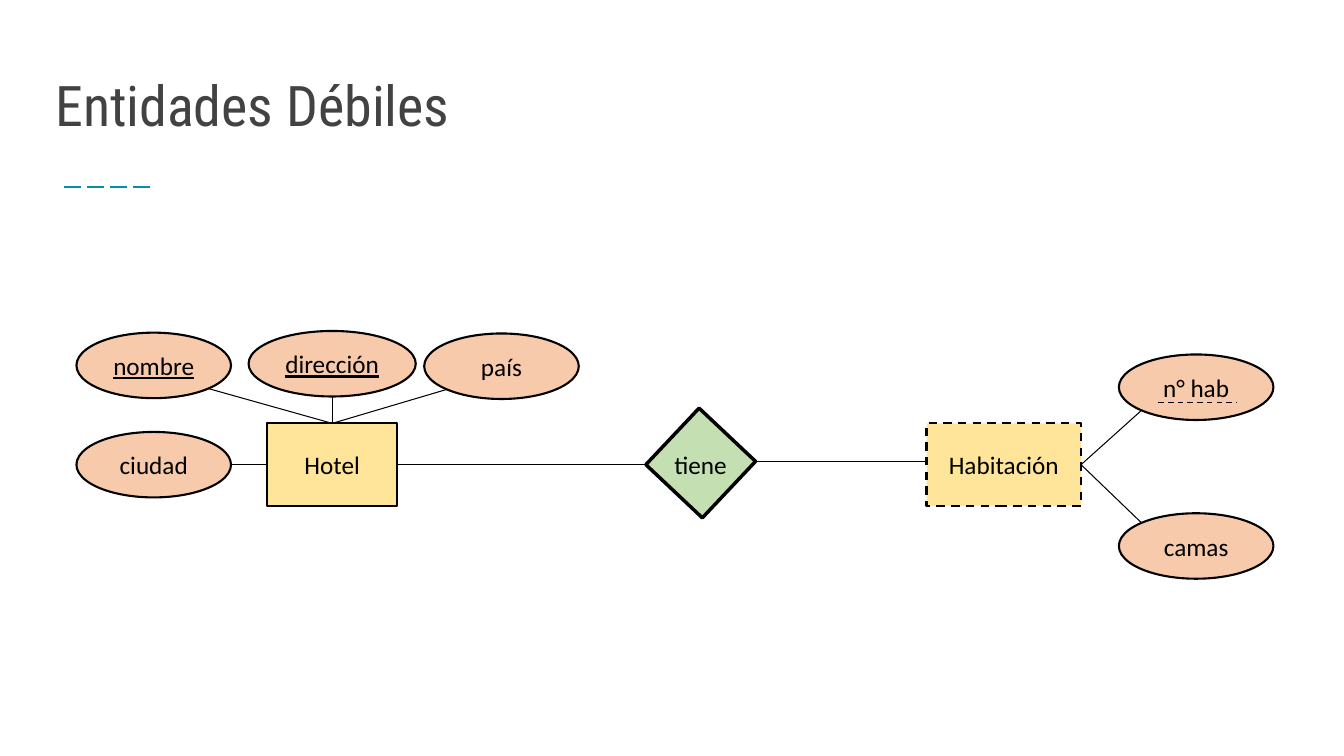
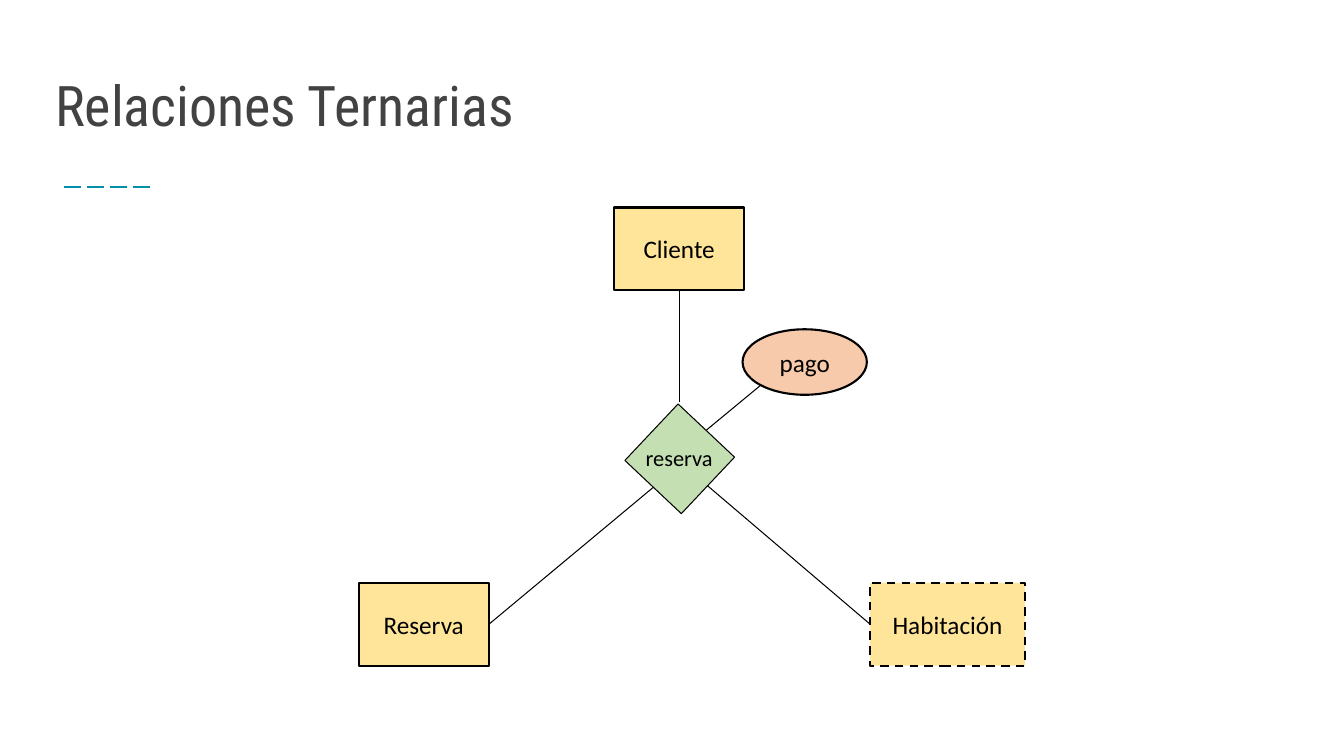
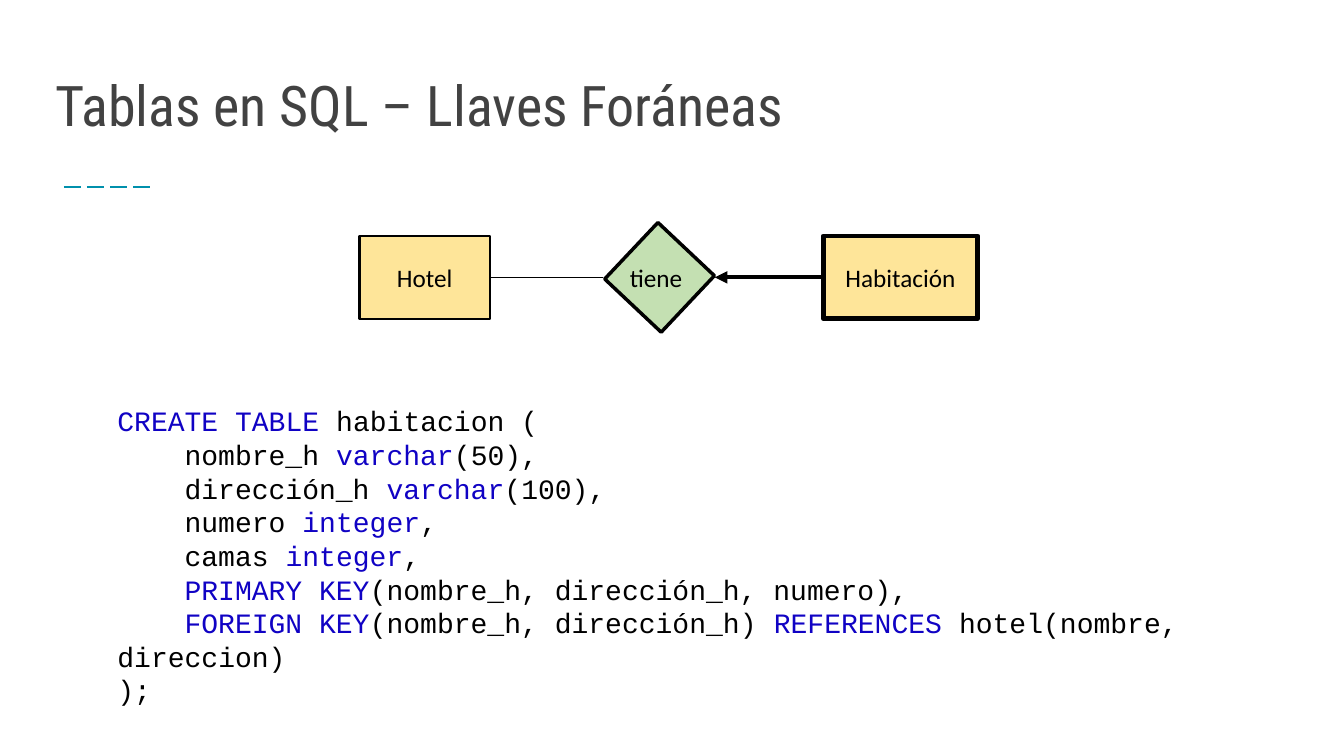
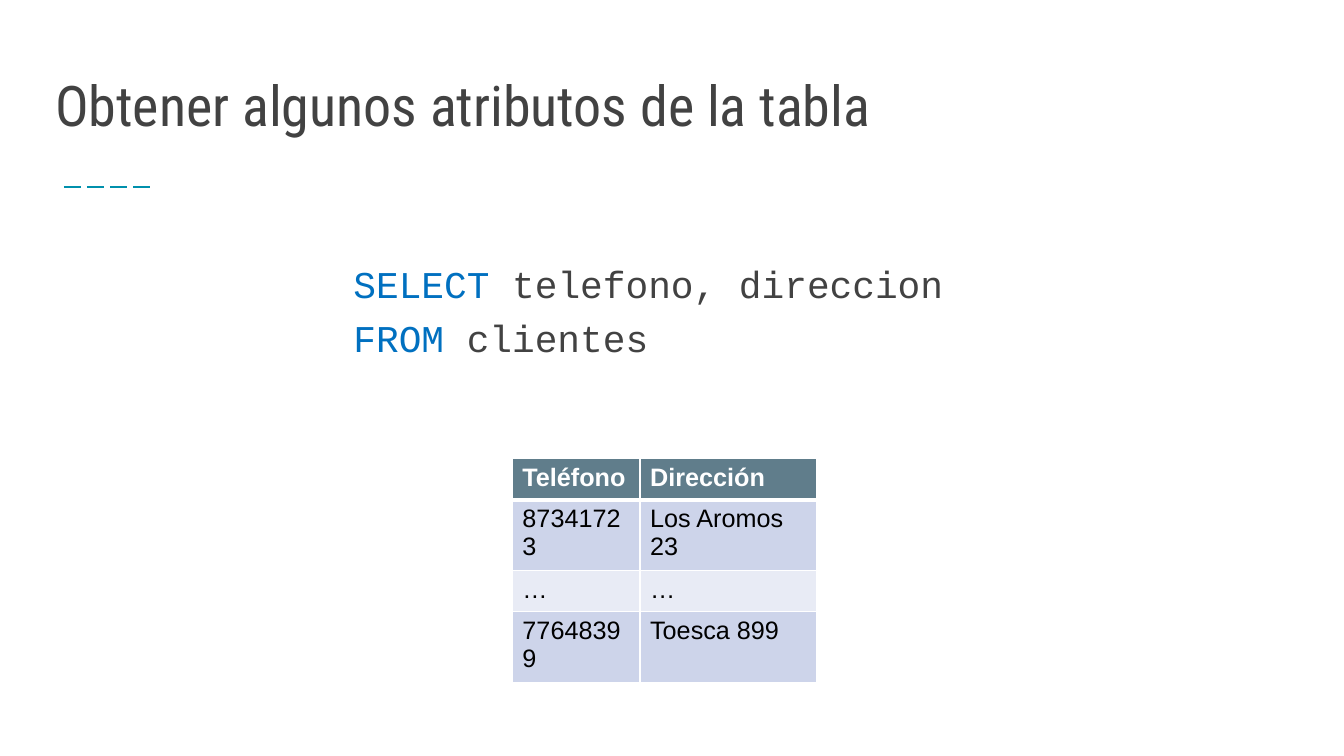
from math import cos, radians, sin
from lxml.etree import SubElement
from pptx import Presentation
from pptx.dml.color import RGBColor
from pptx.enum.dml import MSO_LINE
from pptx.enum.shapes import MSO_CONNECTOR, MSO_SHAPE
from pptx.enum.text import MSO_ANCHOR, PP_ALIGN
from pptx.oxml import parse_xml
from pptx.oxml.ns import nsdecls, qn
from pptx.util import Inches, Pt

BLACK = RGBColor(0x00, 0x00, 0x00)
WHITE = RGBColor(0xFF, 0xFF, 0xFF)
GREY = RGBColor(0x42, 0x42, 0x42)
TEAL = RGBColor(0x00, 0x90, 0xAC)
SAND = RGBColor(0xFE, 0xE5, 0x99)
PEACH = RGBColor(0xF7, 0xCA, 0xAC)
GREEN = RGBColor(0xC4, 0xE0, 0xB2)
NAVY = RGBColor(0x10, 0x02, 0xC4)
BLUE = RGBColor(0x00, 0x70, 0xC0)
SLATE = RGBColor(0x60, 0x7D, 0x8B)
BANDS = (RGBColor(0xCD, 0xD4, 0xEA), RGBColor(0xE8, 0xEB, 0xF5))

COLS, ROWS = 160, 90
UNIT = Inches(7.5) / ROWS
TOP, LEFT, BELOW, RIGHT = range(4)
SLIM, WIDE = 15.5, 18.4
HIGH, OVAL, SIDE = 9.84, 7.8, 9.24

SLIDES = [
    {
        "title": "Entidades Débiles",
        "rects": [("Hotel", 31.8, 50.4, SLIM, {}),
                  ("Habitación", 110.3, 50.4, WIDE, {"dash": MSO_LINE.DASH})],
        "ovals": [("nombre", 9.1, 39.6, WIDE, True),
                  ("dirección", 29.6, 39.4, 19.9, True),
                  ("país", 50.5, 39.7, WIDE, False),
                  ("ciudad", 9.1, 51.42, WIDE, False),
                  ("n° hab", 133.2, 42.2, WIDE, False),
                  ("camas", 133.2, 61.1, WIDE, False)],
        "rel": (78.8, 50.5, 2.5),
        "label": ("tiene", 79.1, 52.9, 8.8, 18),
        "links": [(("nombre", 45), ("Hotel", TOP), {}),
                  (("dirección", 90), ("Hotel", TOP), {}),
                  (("país", 135), ("Hotel", TOP), {}),
                  (("ciudad", 0), ("Hotel", LEFT), {}),
                  (("n° hab", 135), ("Habitación", RIGHT), {}),
                  (("camas", 225), ("Habitación", RIGHT), {}),
                  ((77, 55.32), ("Hotel", RIGHT), {}),
                  ((110.4, 55), (89.9, 55), {}),
                  ((137.9, 47.9), (147.2, 47.9),
                   {"width": 1, "dash": MSO_LINE.DASH})],
    },
    {
        "title": "Relaciones Ternarias",
        "rects": [("Cliente", 73.1, 24.7, SLIM, {}),
                  ("Habitación", 103.6, 69.4, WIDE, {"dash": MSO_LINE.DASH}),
                  ("Reserva", 42.7, 69.4, SLIM, {})],
        "ovals": [("pago", 88.4, 39.2, 14.8, False)],
        "rel": (76.3, 50, 0.75),
        "label": ("reserva", 75.7, 52.3, 10.6, 16),
        "links": [(("pago", 135), (84.1, 51.2), {}),
                  ((80.85, 47.9), ("Cliente", BELOW), {}),
                  (("Habitación", LEFT), (84.2, 57.8), {}),
                  ((77.8, 58), ("Reserva", RIGHT), {})],
    },
    {
        "title": "Tablas en SQL – Llaves Foráneas",
        "rects": [("Hotel", 42.8, 28.1, SLIM, {}),
                  ("Habitación", 98, 28.1, WIDE, {"width": 3.5})],
        "rel": (73.9, 28.4, 2.5),
        "label": ("tiene", 73.8, 30.6, 8.8, 18),
        "links": [((71.8, 33.02), ("Hotel", RIGHT), {"width": 1}),
                  (("Habitación", LEFT), (85.1, 33.02),
                   {"width": 3, "arrow": True})],
        "code": ((12.8, 47.5, 139.4, 33.5),
                 [(0, "*CREATE TABLE* habitacion ("),
                  (8, "nombre_h *varchar*(50),"),
                  (8, "dirección_h *varchar*(100),"),
                  (8, "numero *integer*,"),
                  (8, "camas *integer*,"),
                  (8, "*PRIMARY KEY*(nombre_h, dirección_h, numero),"),
                  (8, "*FOREIGN KEY*(nombre_h, dirección_h) "
                      "*REFERENCES *hotel(nombre, direccion)"),
                  (0, ");")],
                 {"size": 20, "key": NAVY}),
    },
    {
        "title": "Obtener algunos atributos de la tabla",
        "code": ((40.9, 31, 113.5, 49),
                 [(0, "*SELECT* telefono, direccion"),
                  (0, "*FROM* clientes")],
                 {"size": 27, "key": BLUE, "color": GREY,
                  "lead": 0.9, "gap": 10}),
        "table": [("Teléfono", "Dirección"),
                  ("87341723", "Los Aromos 23"),
                  ("…", "…"),
                  ("77648399", "Toesca 899")],
    },
]


def grid(*nums):
    return [round(num * UNIT) for num in nums]


def write(frame, text, size=18, font="Calibri", color=BLACK, key=None,
          bold=False, under=False, align=None, anchor=None, wrap=True,
          lead=None, gap=0):
    frame.word_wrap = wrap
    if anchor is not None:
        frame.vertical_anchor = anchor
    lines = [(0, text)] if isinstance(text, str) else text
    for row, (inset, line) in enumerate(lines):
        para = frame.add_paragraph() if row else frame.paragraphs[0]
        para.alignment = align
        if lead:
            para.line_spacing = lead
        if row and gap:
            para.space_before = Pt(gap)
        if inset:
            para._p.get_or_add_pPr().set("indent", str(grid(inset)[0]))
        for turn, part in enumerate(line.split("*")):
            if part:
                run = para.add_run()
                run.text = part
                face = run.font
                face.size, face.name, face.bold = Pt(size), font, bold
                face.underline = under or None
                face.color.rgb = key if turn % 2 else color


def label(slide, box, text, **fmt):
    write(slide.shapes.add_textbox(*grid(*box)).text_frame, text, **fmt)


def stroke(line, width, color=BLACK, dash=None):
    line.width = Pt(width)
    line.color.rgb = color
    if dash:
        line.dash_style = dash


def block(slide, kind, box, fill, text="", width=1.5, dash=None, under=False):
    shape = slide.shapes.add_shape(kind, *grid(*box))
    shape.shadow.inherit = False
    shape.fill.solid()
    shape.fill.fore_color.rgb = fill
    stroke(shape.line, width, dash=dash)
    if text:
        write(shape.text_frame, text, under=under, align=PP_ALIGN.CENTER,
              anchor=MSO_ANCHOR.MIDDLE)
    return shape


def spot(end, nodes):
    if end[0] not in nodes:
        return grid(*end)
    shape, turn = nodes[end[0]], radians(end[1])
    return (round(shape.left + shape.width * (1 + cos(turn)) / 2),
            round(shape.top + shape.height * (1 + sin(turn)) / 2))


def link(slide, start, stop, nodes, width=0.75, color=BLACK, dash=None,
         arrow=False):
    wire = slide.shapes.add_connector(
        MSO_CONNECTOR.STRAIGHT, *spot(start, nodes), *spot(stop, nodes))
    for end, join in ((start, wire.begin_connect), (stop, wire.end_connect)):
        node = nodes.get(end[0])
        if node and node.auto_shape_type == MSO_SHAPE.RECTANGLE:
            join(node, end[1])
    stroke(wire.line, width, color, dash)
    props = wire._element.spPr
    if arrow:
        SubElement(props.find(qn("a:ln")), qn("a:tailEnd"), type="triangle")
    SubElement(props, qn("a:effectLst"))


def chart(slide, data):
    nodes = {}
    for name, x, y, wide, style in data.get("rects", []):
        nodes[name] = block(slide, MSO_SHAPE.RECTANGLE, (x, y, wide, HIGH),
                            SAND, name, **style)
    for name, x, y, wide, under in data.get("ovals", []):
        nodes[name] = block(slide, MSO_SHAPE.OVAL, (x, y, wide, OVAL),
                            PEACH, name, under=under)
    x, y, width = data["rel"]
    block(slide, MSO_SHAPE.RECTANGLE, (x, y, SIDE, SIDE), GREEN,
          width=width).rotation = 313.3
    for start, stop, style in data["links"]:
        link(slide, start, stop, nodes, **style)
    text, x, y, wide, size = data["label"]
    label(slide, (x, y, wide, 4.8), text, size=size, wrap=False)


def edge(cell, row):
    props = cell._tc.get_or_add_tcPr()
    thick = {"T": row == 1, "B": row == 0}
    for spot_no, side in enumerate("LRTB"):
        width = Pt(3 if thick.get(side) else 1)
        props.insert(spot_no, parse_xml(
            f'<a:ln{side} {nsdecls("a")} w="{width}"><a:solidFill>'
            f'<a:srgbClr val="{WHITE}"/></a:solidFill></a:ln{side}>'))


def sheet(slide, rows):
    wide, high = (15.2, 21), 4.9
    table = slide.shapes.add_table(
        len(rows), len(wide),
        *grid(61, 54.6, sum(wide), high * len(rows))).table
    for col, size in zip(table.columns, grid(*wide)):
        col.width = size
    for row, texts in enumerate(rows):
        for col, text in enumerate(texts):
            cell = table.cell(row, col)
            cell.fill.solid()
            cell.fill.fore_color.rgb = BANDS[(row - 1) % 2] if row else SLATE
            write(cell.text_frame, text, font="Arial", bold=not row,
                  color=BLACK if row else WHITE)
            edge(cell, row)


def main():
    deck = Presentation()
    deck.slide_width, deck.slide_height = grid(COLS, ROWS)
    for data in SLIDES:
        slide = deck.slides.add_slide(deck.slide_layouts[6])
        link(slide, (7.6, 22.3), (18.2, 22.3), {}, width=1.5, color=TEAL,
             dash=MSO_LINE.LONG_DASH)
        label(slide, (5.4, 6.5, 149, 12.8), data["title"], size=40,
              font="Roboto Condensed", color=GREY, lead=0.9,
              anchor=MSO_ANCHOR.MIDDLE)
        if "rel" in data:
            chart(slide, data)
        if "code" in data:
            box, lines, style = data["code"]
            label(slide, box, lines, font="Courier New", **style)
        if "table" in data:
            sheet(slide, data["table"])
    deck.save("out.pptx")


if __name__ == "__main__":
    main()
